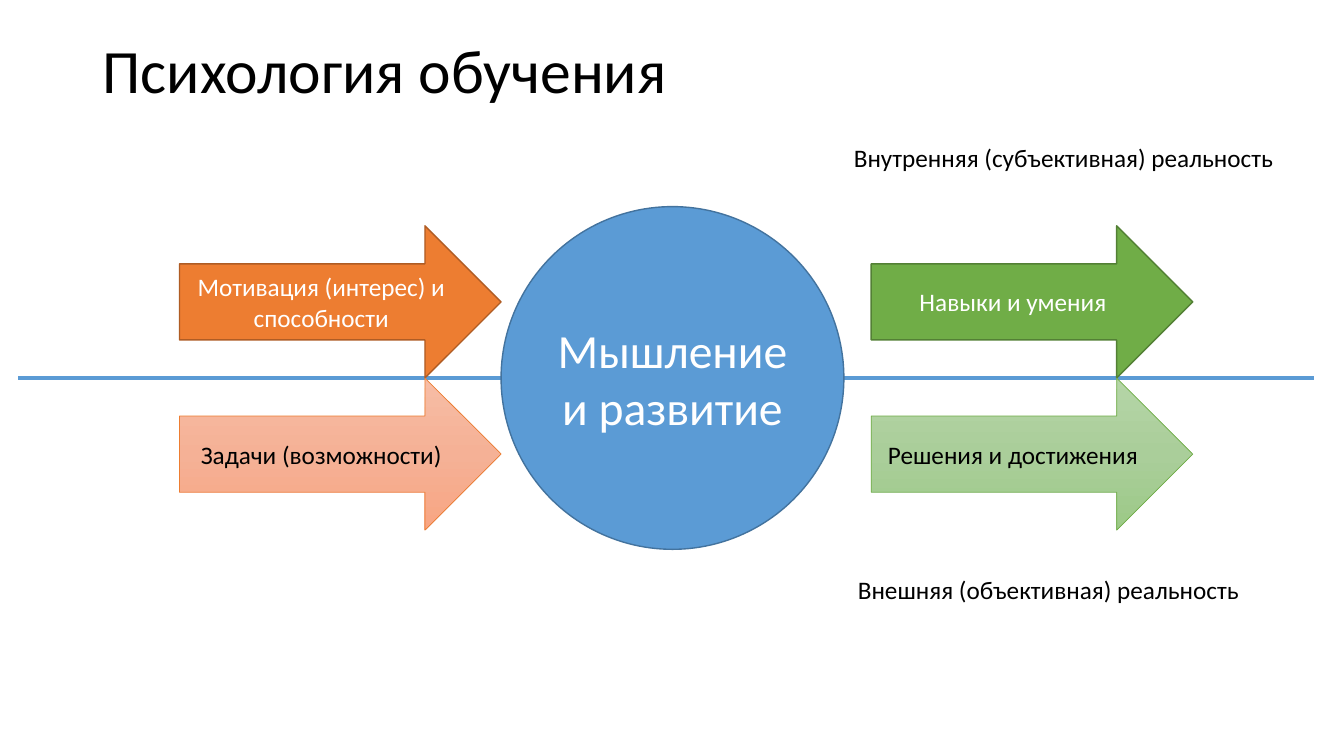
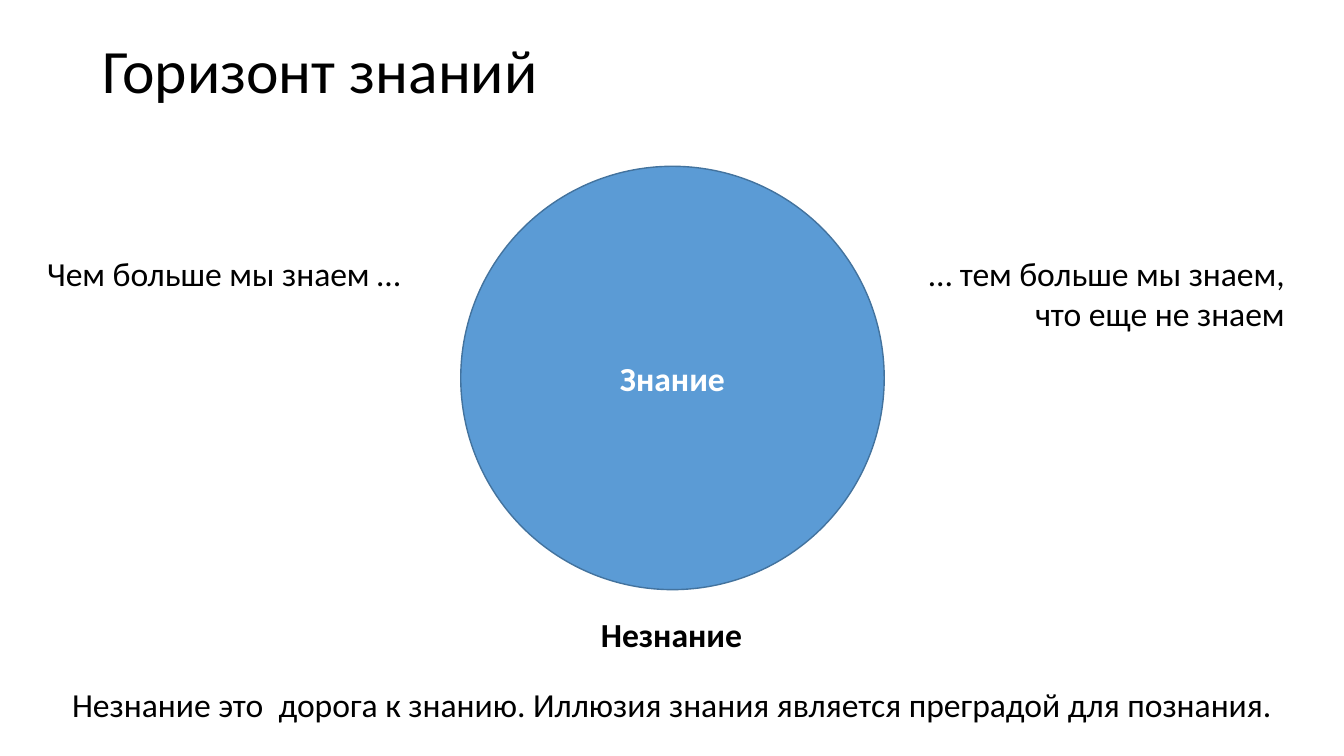
from copy import deepcopy
from dataclasses import dataclass
from typing import Optional

from pptx import Presentation
from pptx.dml.color import RGBColor
from pptx.enum.shapes import MSO_CONNECTOR, MSO_SHAPE
from pptx.enum.text import MSO_ANCHOR, PP_ALIGN
from pptx.oxml.ns import qn
from pptx.util import Inches, Pt

STRAIGHT = MSO_CONNECTOR.STRAIGHT
ELLIPSE, ARROW = MSO_SHAPE.OVAL, MSO_SHAPE.RIGHT_ARROW
TOP, MIDDLE = MSO_ANCHOR.TOP, MSO_ANCHOR.MIDDLE
LEFT, CENTER, RIGHT = PP_ALIGN.LEFT, PP_ALIGN.CENTER, PP_ALIGN.RIGHT

FONT = "Calibri"
COLORS = {
    "black": "000000", "white": "FFFFFF",
    "blue": "5B9BD5", "blue_edge": "43739E",
    "orange": "ED7D31", "orange_edge": "AF5C24",
    "green": "70AD47", "green_edge": "538035",
    "peach_top": "F7BDA5", "peach_mid": "F5B196", "peach_end": "F8A582",
    "mint_top": "B5D5A7", "mint_mid": "AACE9A", "mint_end": "9CC987",
}
WIDTH, HEIGHT = 13.33, 7.5
CENTER_X, HORIZON_Y = 6.67, HEIGHT / 2
ARROW_W, ARROW_H = 3.19, 1.51
LEFT_X, RIGHT_X = 1.78, 8.64
UPPER_Y, LOWER_Y = HORIZON_Y - ARROW_H, HORIZON_Y


@dataclass
class Label:
    text: str
    left: float
    top: float
    width: float
    height: float = 0.5
    size: float = 24
    align: PP_ALIGN = LEFT
    bold: bool = False
    wrap: bool = True
    anchor: MSO_ANCHOR = TOP
    spacing: float = 1.0


@dataclass
class FlowArrow:
    text: str
    left: float
    top: float
    fills: tuple[str, ...]
    edge: str
    edge_width: float
    color: str


@dataclass
class Circle:
    diameter: float
    edge: Optional[str] = "blue_edge"
    text: str = ""
    size: float = 24
    bold: bool = False
    side_inset: float = 0.1


ARROWS = [
    FlowArrow("Мотивация (интерес) и способности", LEFT_X, UPPER_Y,
              ("orange",), "orange_edge", 1, "white"),
    FlowArrow("Задачи (возможности)", LEFT_X, LOWER_Y,
              ("peach_top", "peach_mid", "peach_end"), "orange", 0.5, "black"),
    FlowArrow("Навыки и умения", RIGHT_X, UPPER_Y,
              ("green",), "green_edge", 1, "white"),
    FlowArrow("Решения и достижения", RIGHT_X, LOWER_Y,
              ("mint_top", "mint_mid", "mint_end"), "green", 0.5, "black"),
]
REALITIES = [
    Label("Внутренняя (субъективная) реальность", 8.37, 1.36, 4.41, 0.4, 18, wrap=False),
    Label("Внешняя (объективная) реальность", 8.41, 5.65, 4.01, 0.4, 18, wrap=False),
]
STATEMENTS = [
    Label("Чем больше мы знаем …", 0.37, 2.46, 4.06),
    Label("… тем больше мы знаем, что еще не знаем", 8.77, 2.46, 4.07, 0.91, align=RIGHT),
    Label("Незнание", 5.3, 6.04, 2.72, align=CENTER, bold=True),
    Label("Незнание это  дорога к знанию. Иллюзия знания является преградой для познания.",
          0, 6.74, WIDTH, align=CENTER),
]


def rgb(name: str) -> RGBColor:
    return RGBColor.from_string(COLORS[name])


def apply(target, formats: dict) -> None:
    for name, value in formats.items():
        setattr(target, name, value)


def write(tf, text: str, size: float, color: str, align: PP_ALIGN,
          bold: bool = False, spacing: float = 1.0) -> None:
    p = tf.paragraphs[0]
    apply(p, {"alignment": align, "line_spacing": spacing})
    r = p.add_run()
    r.text = text
    apply(r.font, {"name": FONT, "size": Pt(size), "bold": bold})
    r.font.color.rgb = rgb(color)


def add_label(s, label: Label) -> None:
    box = s.shapes.add_textbox(Inches(label.left), Inches(label.top),
                               Inches(label.width), Inches(label.height))
    tf = box.text_frame
    apply(tf, {"word_wrap": label.wrap, "vertical_anchor": label.anchor})
    write(tf, label.text, label.size, "black", label.align, label.bold, label.spacing)


def paint(sp, fills: tuple[str, ...], edge: Optional[str], edge_width: float) -> None:
    sp.shadow.inherit = False
    if len(fills) == 1:
        sp.fill.solid()
        sp.fill.fore_color.rgb = rgb(fills[0])
    else:
        sp.fill.gradient()
        sp.fill.gradient_angle = 270
        first = next(sp._element.spPr.iter(qn("a:gs")))
        for _ in fills[2:]:
            first.addnext(deepcopy(first))
        for i, (stop, name) in enumerate(zip(sp.fill.gradient_stops, fills)):
            stop.position = i / (len(fills) - 1)
            stop.color.rgb = rgb(name)
    if edge:
        sp.line.color.rgb = rgb(edge)
        sp.line.width = Pt(edge_width)
    else:
        sp.line.fill.background()


def add_arrow(s, arrow: FlowArrow) -> None:
    sp = s.shapes.add_shape(ARROW, Inches(arrow.left), Inches(arrow.top),
                            Inches(ARROW_W), Inches(ARROW_H))
    paint(sp, arrow.fills, arrow.edge, arrow.edge_width)
    apply(sp.text_frame, {"word_wrap": True, "vertical_anchor": MIDDLE})
    write(sp.text_frame, arrow.text, 18, arrow.color, CENTER)


def add_circle(s, circle: Circle) -> None:
    d = circle.diameter
    sp = s.shapes.add_shape(ELLIPSE, Inches(CENTER_X - d / 2), Inches(HORIZON_Y - d / 2),
                            Inches(d), Inches(d))
    paint(sp, ("blue",), circle.edge, 1)
    if circle.text:
        inset = Inches(circle.side_inset)
        tf = sp.text_frame
        apply(tf, {"word_wrap": True, "vertical_anchor": MIDDLE,
                   "margin_left": inset, "margin_right": inset})
        write(tf, circle.text, circle.size, "white", CENTER, circle.bold)


def add_horizon(s) -> None:
    y = Inches(HORIZON_Y)
    line = s.shapes.add_connector(STRAIGHT, Inches(0.18), y, Inches(13.03), y)
    line.line.color.rgb = rgb("blue")
    line.line.width = Pt(2.75)
    sp_pr = line._element.spPr
    sp_pr.append(sp_pr.makeelement(qn("a:effectLst"), {}))


def new_slide(prs, title: str):
    s = prs.slides.add_slide(prs.slide_layouts[6])
    add_label(s, Label(title, 0.92, 0, 11.5, 1.45, 44, anchor=MIDDLE, spacing=0.9))
    return s


def build_psychology(prs) -> None:
    s = new_slide(prs, "Психология обучения")
    add_horizon(s)
    add_circle(s, Circle(3.4, text="Мышление и развитие", size=34, side_inset=0))
    for arrow in ARROWS:
        add_arrow(s, arrow)
    for label in REALITIES:
        add_label(s, label)


def build_knowledge(prs) -> None:
    s = new_slide(prs, "Горизонт знаний")
    add_circle(s, Circle(4.2))
    add_circle(s, Circle(2.1, edge=None, text="Знание", bold=True))
    for label in STATEMENTS:
        add_label(s, label)


def main() -> None:
    prs = Presentation()
    apply(prs, {"slide_width": Inches(WIDTH), "slide_height": Inches(HEIGHT)})
    build_psychology(prs)
    build_knowledge(prs)
    prs.save("out.pptx")


if __name__ == "__main__":
    main()
